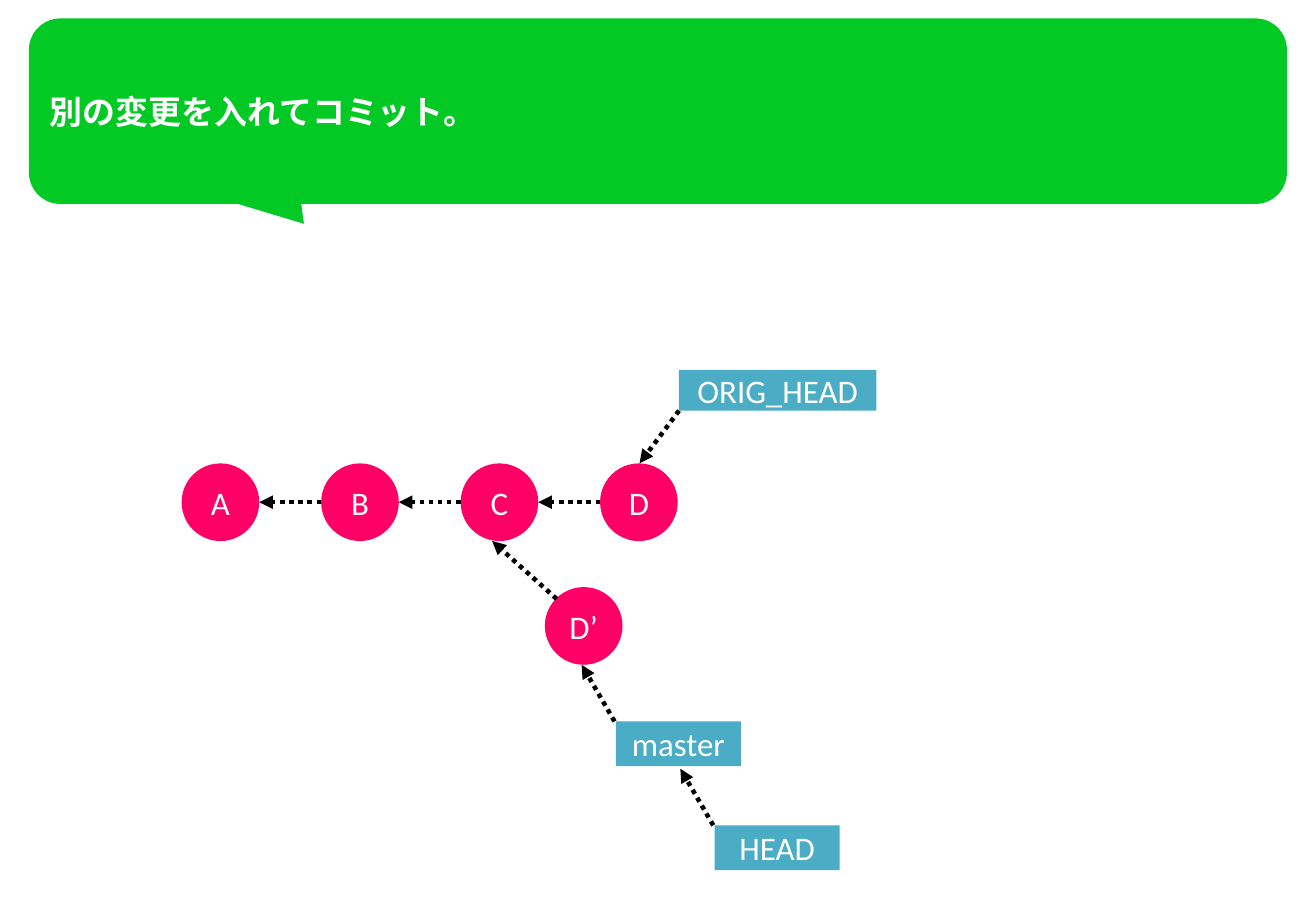
from dataclasses import dataclass
from math import cos, radians, sin

from lxml.etree import SubElement
from pptx import Presentation
from pptx.dml.color import RGBColor
from pptx.enum.dml import MSO_LINE
from pptx.enum.shapes import MSO_CONNECTOR, MSO_SHAPE
from pptx.enum.text import MSO_ANCHOR, PP_ALIGN
from pptx.oxml.ns import qn
from pptx.util import Inches, Pt


@dataclass(frozen=True)
class Theme:
    commit = RGBColor(0xFF, 0x00, 0x66)
    ref = RGBColor(0x4B, 0xAC, 0xC6)
    callout = RGBColor(0x03, 0xC9, 0x24)
    text = RGBColor(0xFF, 0xFF, 0xFF)
    arrow = RGBColor(0x00, 0x00, 0x00)
    font = "Calibri"
    size = Pt(18)
    arrow_width = Pt(2.5)


theme = Theme()


def style_node(shape, label, fill, align=PP_ALIGN.CENTER, bold=False, **margins):
    """Fill a borderless shape and set its label; margins override the frame's insets."""
    shape.shadow.inherit = False
    shape.fill.solid()
    shape.fill.fore_color.rgb = fill
    shape.line.fill.background()
    frame = shape.text_frame
    frame_format = {
        "word_wrap": True, "vertical_anchor": MSO_ANCHOR.MIDDLE,
        "margin_left": Inches(0.1), "margin_right": Inches(0.1),
        "margin_top": Inches(0.05), "margin_bottom": Inches(0.05),
    }
    for name, value in (frame_format | margins).items():
        setattr(frame, name, value)
    paragraph = frame.paragraphs[0]
    paragraph.alignment = align
    run = paragraph.add_run()
    run.text = label
    for name, value in {"name": theme.font, "size": theme.size, "bold": bold}.items():
        setattr(run.font, name, value)
    run.font.color.rgb = theme.text


prs = Presentation()
prs.slide_width, prs.slide_height = Inches(10), Inches(6.89)
slide = prs.slides.add_slide(prs.slide_layouts[6])
shapes = slide.shapes

# Commits: the main chain at an equal pitch, then the amended commit
diameter, pitch, chain_left, chain_top = 0.59, 1.06, 1.38, 3.52
commits = [(label, chain_left + i * pitch, chain_top) for i, label in enumerate("ABCD")]
commits.append(("D’", 4.14, 4.46))
for label, left, top in commits:
    circle = shapes.add_shape(MSO_SHAPE.OVAL, Inches(left), Inches(top),
                              Inches(diameter), Inches(diameter))
    style_node(circle, label, theme.commit)

# Refs
for label, left, top, width, height in [
    ("ORIG_HEAD", 5.16, 2.81, 1.5, 0.31),
    ("master", 4.68, 5.48, 0.95, 0.34),
    ("HEAD", 5.43, 6.27, 0.95, 0.34),
]:
    box = shapes.add_shape(MSO_SHAPE.RECTANGLE, Inches(left), Inches(top),
                           Inches(width), Inches(height))
    style_node(box, label, theme.ref)

# Arrows from each child to its parent, and from each ref to its target
chain_y = chain_top + diameter / 2
arrows = [
    (chain_left + i * pitch, chain_y, chain_left + (i - 1) * pitch + diameter, chain_y)
    for i in (1, 2, 3)
]
arrows += [
    (5.16, 3.12, 4.86, 3.52),
    (4.23, 4.55, 3.74, 4.11),
    (4.67, 5.48, 4.42, 5.05),
    (5.42, 6.27, 5.17, 5.84),
]
for ends in arrows:
    arrow = shapes.add_connector(MSO_CONNECTOR.STRAIGHT, *map(Inches, ends))
    arrow.line.color.rgb = theme.arrow
    arrow.line.width = theme.arrow_width
    arrow.line.dash_style = MSO_LINE.ROUND_DOT
    properties = arrow._element.spPr
    SubElement(properties.find(qn("a:ln")), qn("a:tailEnd"), type="triangle")
    SubElement(properties, qn("a:effectLst"))

# Speech balloon: rounded corners clockwise from top left, tail before the last one
left, top, right, bottom, radius = 0.22, 0.14, 9.78, 1.55, 0.24
tail = [(2.29, bottom), (2.31, 1.7), (1.81, bottom)]
outline = []
for center_x, center_y, start in [
    (left + radius, top + radius, 180),
    (right - radius, top + radius, 270),
    (right - radius, bottom - radius, 0),
    (left + radius, bottom - radius, 90),
]:
    if start == 90:
        outline += tail
    for angle in range(start, start + 91, 6):
        outline.append((center_x + radius * cos(radians(angle)),
                        center_y + radius * sin(radians(angle))))
points = [(Inches(x), Inches(y)) for x, y in outline]
builder = shapes.build_freeform(*points[0])
builder.add_line_segments(points[1:], close=True)
style_node(builder.convert_to_shape(), "別の変更を入れてコミット。", theme.callout,
           align=PP_ALIGN.LEFT, bold=True,
           margin_left=Inches(0.16), margin_right=Inches(0.16),
           margin_top=Inches(0), margin_bottom=Inches(0.15))

prs.save("out.pptx")
